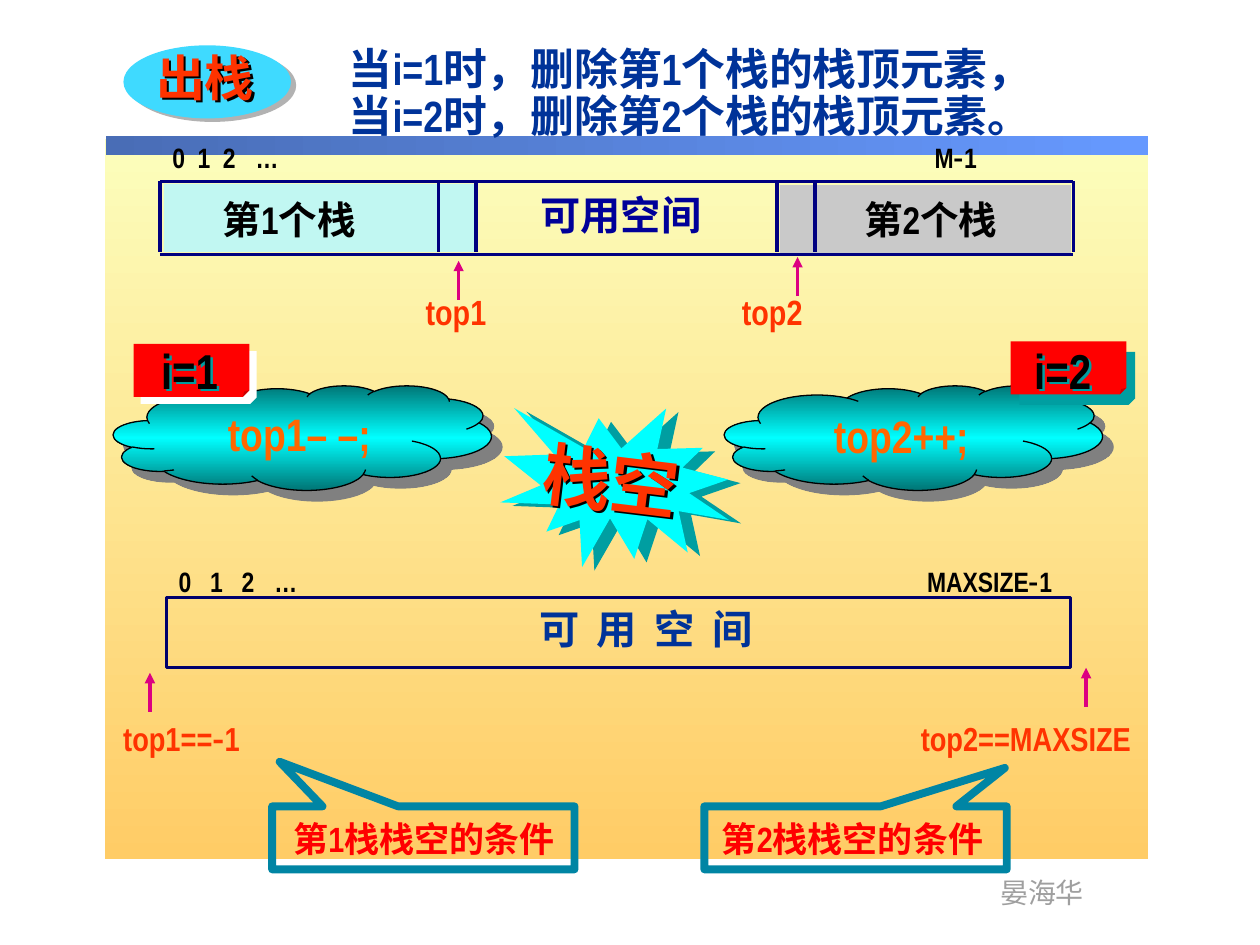
from typing import NamedTuple, Optional

from lxml import etree
from pptx import Presentation
from pptx.dml.color import RGBColor
from pptx.enum.shapes import MSO_CONNECTOR, MSO_SHAPE
from pptx.oxml.ns import qn
from pptx.util import Inches, Pt

RECTANGLE = MSO_SHAPE.RECTANGLE
OVAL = MSO_SHAPE.OVAL
CLOUD = MSO_SHAPE.CLOUD
FOLDED_CORNER = MSO_SHAPE.FOLDED_CORNER
EXPLOSION = MSO_SHAPE.EXPLOSION1
CALLOUT = MSO_SHAPE.RECTANGULAR_CALLOUT
STRAIGHT = MSO_CONNECTOR.STRAIGHT

LATIN_FONT = "Arial Narrow"
CJK_FONT = "Noto Sans CJK SC"
COLORS = {
    "panel_top": "FCFEBC", "panel_bottom": "FFCC66",
    "bar_left": "496DB6", "bar_right": "6699FF",
    "author": "9F9F9F", "title": "003399", "space": "000099",
    "black": "000000", "white": "FFFFFF", "gray": "808080", "light_gray": "B2B2B2",
    "cyan": "00FFFF", "dark_cyan": "007676", "teal_shadow": "009EA1", "sky": "3FDAFF",
    "red": "FF0000", "vermilion": "FF3300", "orange": "FF6600",
    "yellow": "FFFF00", "gold": "FFCC00",
    "frame": "000080", "empty_frame": "00006C", "arrow": "DC0081", "callout": "0085A4",
    "stack_1": "C1F7F2", "stack_2": "C9C9C9",
}


class Box(NamedTuple):
    left: float
    top: float
    width: float
    height: float


class Shadow(NamedTuple):
    color: str
    distance: float
    angle: float


class Branch(NamedTuple):
    """What popping does for one of the two stacks."""
    cloud: Box
    code: str
    code_box: Box
    flag: Box
    condition: str
    condition_box: Box
    flag_shadow: Shadow


class EmptyNote(NamedTuple):
    callout: Box
    tip: tuple[float, float]
    text: str
    text_left: float


def rgb(name: str) -> RGBColor:
    return RGBColor.from_string(COLORS[name])


def add_element(parent, tag: str, **attributes):
    return etree.SubElement(parent, qn(tag), {key: str(value) for key, value in attributes.items()})


def set_shadow(shape, shadow: Optional[Shadow]) -> None:
    shape.shadow.inherit = False
    if shadow:
        effects = shape._element.spPr.find(qn("a:effectLst"))
        outer = add_element(effects, "a:outerShdw", blurRad=0, dist=Pt(shadow.distance),
                            dir=int(shadow.angle * 60000), algn="ctr", rotWithShape=0)
        add_element(outer, "a:srgbClr", val=COLORS[shadow.color])


def set_gradient(shape, colors: list[str], angle: float) -> None:
    """Spread any number of colours evenly; the angle runs clockwise."""
    shape.fill.gradient()
    gradient = shape._element.spPr.find(qn("a:gradFill"))
    for child in list(gradient):
        gradient.remove(child)
    stops = add_element(gradient, "a:gsLst")
    for index, color in enumerate(colors):
        stop = add_element(stops, "a:gs", pos=100000 * index // (len(colors) - 1))
        add_element(stop, "a:srgbClr", val=COLORS[color])
    add_element(gradient, "a:lin", ang=int(angle * 60000), scaled=0)


def style_shape(shape, fill: Optional[str], line: Optional[str], width: float,
                shadow: Optional[Shadow]) -> None:
    set_shadow(shape, shadow)
    if fill:
        shape.fill.solid()
        shape.fill.fore_color.rgb = rgb(fill)
    else:
        shape.fill.background()
    if line:
        shape.line.color.rgb = rgb(line)
        shape.line.width = Pt(width)
    else:
        shape.line.fill.background()


def draw_shape(slide, kind, box: Box, fill: Optional[str] = None, line: Optional[str] = None,
               width: float = 0.75, shadow: Optional[Shadow] = None):
    shape = slide.shapes.add_shape(kind, *map(Inches, box))
    style_shape(shape, fill, line, width, shadow)
    return shape


def draw_outline(slide, points: list[tuple[float, float]], fill: str, line: str,
                 width: float = 0.75, shadow: Optional[Shadow] = None) -> None:
    builder = slide.shapes.build_freeform(*points[0], scale=Inches(1))
    builder.add_line_segments(points[1:], close=True)
    style_shape(builder.convert_to_shape(), fill, line, width, shadow)


def draw_line(slide, x1: float, y1: float, x2: float, y2: float, color: str, width: float,
              arrow: bool = False) -> None:
    line = slide.shapes.add_connector(STRAIGHT, *map(Inches, (x1, y1, x2, y2)))
    line.line.color.rgb = rgb(color)
    line.line.width = Pt(width)
    properties = line._element.spPr
    if arrow:
        add_element(properties.find(qn("a:ln")), "a:tailEnd", type="triangle")
    add_element(properties, "a:effectLst")


def draw_text(slide, text: str, box: Box, size: float, color: str, bold: bool = True,
              wrap: bool = True, spacing: Optional[float] = None, tabs: tuple = (),
              rotation: float = 0, shadow: Optional[Shadow] = None) -> None:
    """Write one paragraph per line; a hyphen takes the CJK font."""
    text_box = slide.shapes.add_textbox(*map(Inches, box))
    text_box.rotation = rotation
    if shadow:
        set_shadow(text_box, shadow)
    frame = text_box.text_frame
    frame.word_wrap = wrap
    for index, content in enumerate(text.split("\n")):
        paragraph = frame.add_paragraph() if index else frame.paragraphs[0]
        if spacing:
            paragraph.line_spacing = spacing
        if tabs:
            tab_list = add_element(paragraph._p.get_or_add_pPr(), "a:tabLst")
            for tab in tabs:
                add_element(tab_list, "a:tab", pos=Inches(tab), algn="l")
        for part in filter(None, content.partition("-")):
            run = paragraph.add_run()
            run.text = part
            run.font.name = CJK_FONT if part == "-" else LATIN_FONT
            run.font.size = Pt(size)
            run.font.bold = bold
            run.font.color.rgb = rgb(color)
            add_element(run._r.get_or_add_rPr(), "a:ea", typeface=CJK_FONT)


def draw_background(slide) -> None:
    panel = draw_shape(slide, RECTANGLE, Box(0.83, 1.1, 8.28, 5.72))
    set_gradient(panel, ["panel_top", "panel_bottom"], 90)
    bar = draw_shape(slide, RECTANGLE, Box(0.84, 1.08, 8.27, 0.15))
    set_gradient(bar, ["bar_left", "bar_right"], 0)
    draw_text(slide, "晏海华", Box(7.84, 6.9, 0.87, 0.37), 16, "author", bold=False, wrap=False)


def draw_branch(slide, branch: Branch) -> None:
    cloud = draw_shape(slide, CLOUD, branch.cloud, line="black", shadow=Shadow("gray", 8.5, 45))
    set_gradient(cloud, ["dark_cyan", "cyan", "dark_cyan"], 90)
    draw_text(slide, branch.code, branch.code_box, 26, "orange")
    flag = draw_shape(slide, FOLDED_CORNER, branch.flag, "red", shadow=branch.flag_shadow)
    fold = flag._element.spPr.find(qn("a:prstGeom")).find(qn("a:avLst"))
    add_element(fold, "a:gd", name="adj", fmla="val 12500")
    draw_text(slide, branch.condition, branch.condition_box, 28, "black",
              shadow=Shadow("teal_shadow", 2, 45))


def draw_note(slide, note: EmptyNote) -> None:
    callout = draw_shape(slide, CALLOUT, note.callout, line="callout", width=4.5)
    callout.adjustments[0], callout.adjustments[1] = note.tip
    draw_text(slide, note.text, Box(note.text_left, 6.44, 2.42, 0.43), 20, "red")


def draw_question(slide) -> None:
    draw_shape(slide, EXPLOSION, Box(3.98, 3.2, 1.83, 1.33), "cyan",
               shadow=Shadow("teal_shadow", 7.3, 16)).rotation = 6.9
    draw_text(slide, "栈空", Box(4.21, 3.43, 1.28, 0.75), 39, "vermilion", wrap=False,
              rotation=6.9, shadow=Shadow("black", 2, 45))
    halo = [(4.81, 4.17), (4.89, 4.17), (5.01, 4.21), (4.98, 4.25), (4.83, 4.25), (4.78, 4.34),
            (4.8, 4.37), (4.74, 4.4), (4.74, 4.43), (4.84, 4.48), (4.98, 4.5), (5.04, 4.47),
            (4.99, 4.42), (5.05, 4.41), (5.07, 4.36), (5.23, 4.35), (5.26, 4.29), (5.18, 4.19),
            (5, 4.11), (4.77, 4.08), (4.63, 4.09), (4.57, 4.14), (4.57, 4.18), (4.79, 4.24)]
    hook = [(4.59, 4.15), (4.68, 4.17), (4.73, 4.19), (4.74, 4.15), (4.78, 4.12), (4.94, 4.14),
            (5, 4.17), (5.07, 4.22), (5.04, 4.26), (4.89, 4.25), (4.85, 4.27), (4.85, 4.31),
            (4.82, 4.35), (4.96, 4.38), (4.99, 4.35), (4.99, 4.31), (5.08, 4.31), (5.15, 4.32),
            (5.21, 4.28), (5.18, 4.21), (5.04, 4.12), (4.85, 4.08), (4.69, 4.07), (4.62, 4.1)]
    dot = [(4.85, 4.4), (4.79, 4.39), (4.77, 4.42), (4.81, 4.45), (4.92, 4.48), (4.97, 4.46),
           (4.94, 4.43)]
    draw_outline(slide, halo, "yellow", "cyan")
    draw_outline(slide, hook, "vermilion", "gold", 2, Shadow("gray", 3.6, 34))
    draw_outline(slide, dot, "vermilion", "cyan")


def draw_arrows(slide, starts: tuple, width: float) -> None:
    for x, bottom in starts:
        draw_line(slide, x, bottom, x, bottom - 0.31, "arrow", width, arrow=True)


def draw_empty_array(slide) -> None:
    draw_shape(slide, RECTANGLE, Box(1.32, 4.74, 7.18, 0.56), line="empty_frame", width=1.75)
    draw_text(slide, "0\t1\t2\t…\tMAXSIZE-1", Box(1.32, 4.43, 7.34, 0.37), 16, "black",
              tabs=(0.25, 0.5, 0.76, 5.94))
    draw_text(slide, "可\t用\t空\t间", Box(4.18, 4.75, 2.06, 0.48), 23, "title",
              tabs=(0.46, 0.92, 1.38))
    draw_text(slide, "top1==-1\ttop2==MAXSIZE", Box(0.88, 5.65, 8.66, 0.42), 19, "vermilion",
              tabs=(6.33,))
    draw_arrows(slide, ((1.19, 5.65), (8.62, 5.61)), 2)


def draw_shared_array(slide) -> None:
    draw_text(slide, "可用空间", Box(4.19, 1.46, 2.05, 0.48), 23, "space")
    draw_text(slide, "0\t1\t2\t…\tM-1", Box(1.27, 1.07, 6.65, 0.37), 16, "black",
              tabs=(0.2, 0.4, 0.66, 6.05))
    draw_text(slide, "top1\ttop2", Box(3.28, 2.26, 3.87, 0.43), 20, "vermilion", tabs=(2.51,))
    draw_shape(slide, RECTANGLE, Box(1.3, 1.46, 2.47, 0.54), "stack_1")
    draw_shape(slide, RECTANGLE, Box(6.19, 1.47, 2.31, 0.54), "stack_2")
    for y in (1.44, 2.02):
        draw_line(slide, 1.27, y, 8.52, y, "frame", 2)
    for x in (1.27, 3.48, 3.78, 6.17, 6.47, 8.52):
        draw_line(slide, x, 1.44, x, 2, "frame", 2.25)
    for text, left in (("第1个栈", 1.67), ("第2个栈", 6.76)):
        draw_text(slide, text, Box(left, 1.51, 1.97, 0.47), 22, "black")
    draw_arrows(slide, ((3.64, 2.38), (6.33, 2.35)), 1.75)


BRANCHES = [
    Branch(Box(0.9, 3.06, 3, 0.83), "top1– –;", Box(1.71, 3.17, 2.02, 0.53),
           Box(1.06, 2.73, 0.92, 0.42), "i=1", Box(1.18, 2.65, 0.8, 0.57),
           Shadow("white", 5.7, 45)),
    Branch(Box(5.75, 3.06, 3, 0.83), "top2++;", Box(6.52, 3.19, 1.77, 0.53),
           Box(8.02, 2.71, 0.92, 0.42), "i=2", Box(8.11, 2.65, 0.86, 0.57),
           Shadow("teal_shadow", 7.8, 50)),
]
NOTES = [
    EmptyNote(Box(2.16, 6.4, 2.4, 0.5), (-0.475, -1.208), "第1栈栈空的条件", 2.23),
    EmptyNote(Box(5.59, 6.4, 2.4, 0.5), (0.494, -1.111), "第2栈栈空的条件", 5.63),
]


def main() -> None:
    presentation = Presentation()
    presentation.slide_width, presentation.slide_height = Inches(10), Inches(7.5)
    slide = presentation.slides.add_slide(presentation.slide_layouts[6])
    draw_background(slide)
    draw_text(slide, "当i=1时，删除第1个栈的栈顶元素，\n当i=2时，删除第2个栈的栈顶元素。",
              Box(2.67, 0.33, 6.08, 0.85), 25, "title", spacing=0.9)
    for branch in BRANCHES:
        draw_branch(slide, branch)
    draw_shape(slide, OVAL, Box(0.98, 0.36, 1.33, 0.58), "sky", shadow=Shadow("light_gray", 3.6, 34))
    draw_text(slide, "出栈", Box(1.14, 0.38, 1.5, 0.52), 28, "vermilion", spacing=0.9,
              shadow=Shadow("black", 2, 45))
    draw_question(slide)
    draw_empty_array(slide)
    for note in NOTES:
        draw_note(slide, note)
    draw_shared_array(slide)
    presentation.save("out.pptx")


if __name__ == "__main__":
    main()
